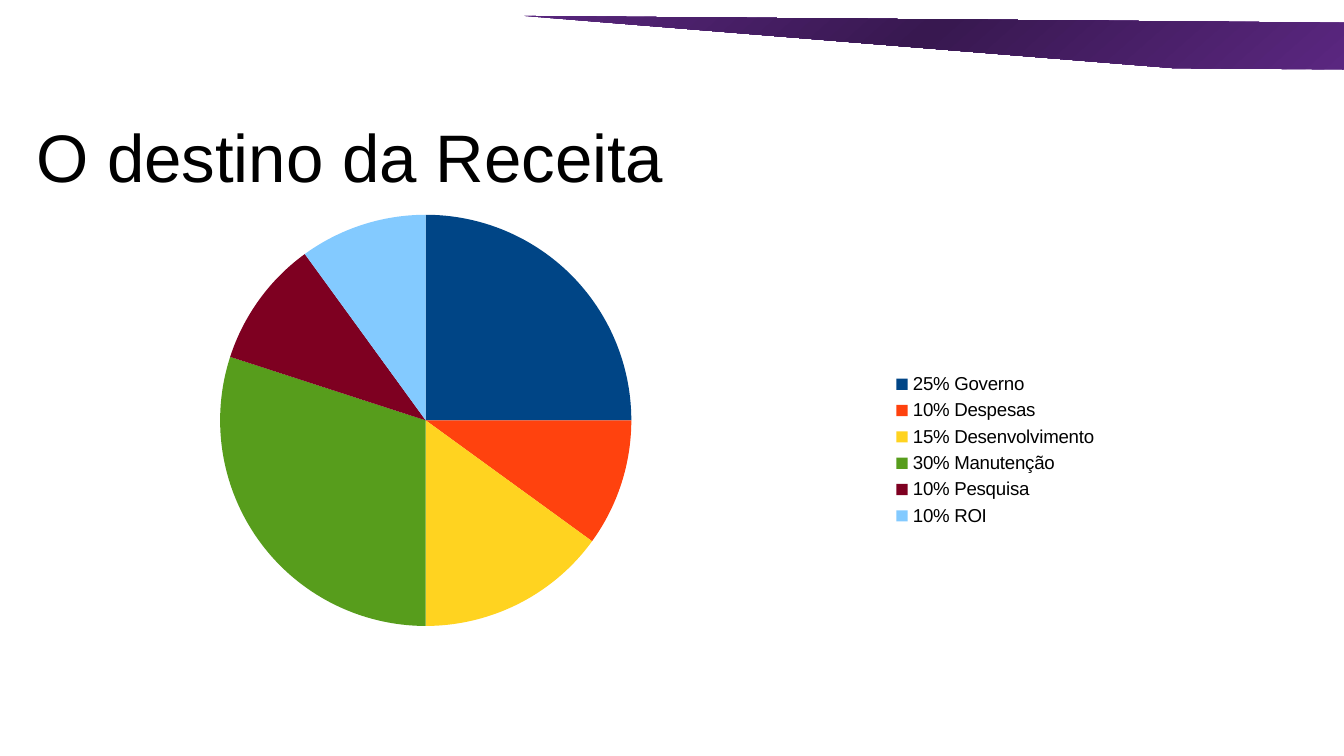
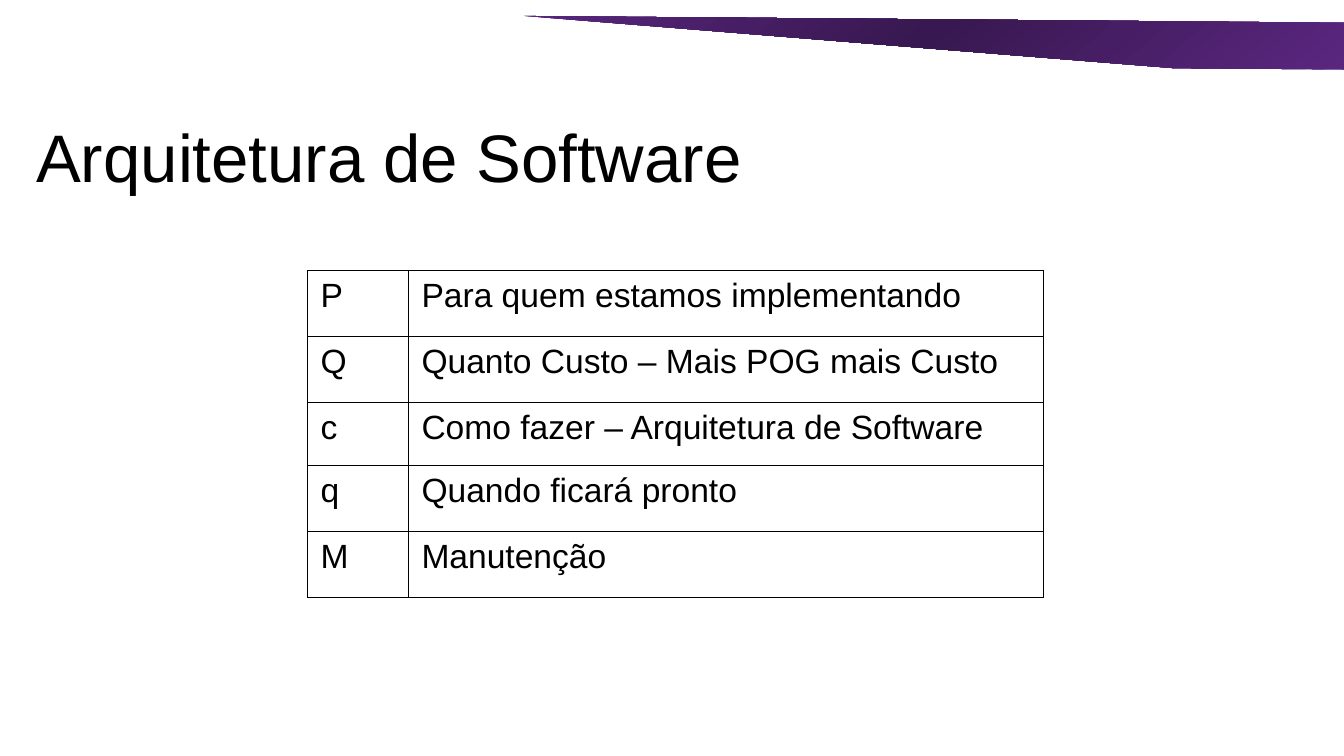
from copy import deepcopy

from pptx import Presentation
from pptx.chart.data import CategoryChartData
from pptx.dml.color import RGBColor
from pptx.enum.chart import XL_CHART_TYPE, XL_LEGEND_POSITION
from pptx.enum.shapes import MSO_SHAPE
from pptx.enum.text import MSO_ANCHOR, MSO_AUTO_SIZE, PP_ALIGN
from pptx.oxml import parse_xml
from pptx.oxml.ns import nsdecls, qn
from pptx.util import Pt

PIE = XL_CHART_TYPE.PIE
LEGEND_RIGHT = XL_LEGEND_POSITION.RIGHT
STRIPE = MSO_SHAPE.DIAGONAL_STRIPE
MIDDLE, TOP = MSO_ANCHOR.MIDDLE, MSO_ANCHOR.TOP
GROW = MSO_AUTO_SIZE.SHAPE_TO_FIT_TEXT
LEFT = PP_ALIGN.LEFT

FONT = "Arial"
BLACK = RGBColor(0x00, 0x00, 0x00)
WHITE = RGBColor(0xFF, 0xFF, 0xFF)
PURPLE = RGBColor(0x5D, 0x28, 0x84)
DARK_PURPLE = RGBColor(0x38, 0x18, 0x50)
BLUE = RGBColor(0x00, 0x45, 0x86)
ORANGE = RGBColor(0xFF, 0x42, 0x0E)
YELLOW = RGBColor(0xFF, 0xD3, 0x20)
GREEN = RGBColor(0x57, 0x9D, 0x1C)
WINE = RGBColor(0x7E, 0x00, 0x21)
SKY = RGBColor(0x83, 0xCA, 0xFF)

BAND_BOX = (281.5, -5.8, 449.3, 32.4)
TITLE_BOX = (19.4, 56.2, 680.4, 54.7)
CHART_BOX = (79.2, 62.6, 516.2, 357.1)
TABLE_BOX = (164.6, 144.8, 394.4, 175.4)
PLOT = {"x": 0.075, "y": 0.147, "w": 0.427, "h": 0.617}
BORDER_WIDTH = Pt(0.57)

REVENUE = [
    ("Governo", 25, BLUE),
    ("Despesas", 10, ORANGE),
    ("Desenvolvimento", 15, YELLOW),
    ("Manutenção", 30, GREEN),
    ("Pesquisa", 10, WINE),
    ("ROI", 10, SKY),
]
ARCHITECTURE = [
    ("P", "Para quem estamos implementando"),
    ("Q", "Quanto Custo – Mais POG mais Custo"),
    ("c", "Como fazer – Arquitetura de Software"),
    ("q", "Quando ficará pronto"),
    ("M", "Manutenção"),
]


def points(box):
    return [Pt(v) for v in box]


def format_font(font, size, color=BLACK):
    font.name = FONT
    font.size = Pt(size)
    font.color.rgb = color


def write(tf, text, size=18, color=BLACK, align=LEFT, anchor=TOP, margins=(7.2, 3.6)):
    tf.word_wrap = True
    tf.vertical_anchor = anchor
    tf.margin_left = tf.margin_right = Pt(margins[0])
    tf.margin_top = tf.margin_bottom = Pt(margins[1])
    p = tf.paragraphs[0]
    p.alignment = align
    r = p.add_run()
    r.text = text
    format_font(r.font, size, color)


def add_band(s, box):
    sp = s.shapes.add_shape(STRIPE, *points(box))
    sp.rotation = 184.6
    sp.adjustments[0] = 0.224
    sp.shadow.inherit = False
    sp.line.fill.background()
    sp.fill.gradient()
    sp.fill.gradient_angle = 316
    stops = sp._element.spPr.find(".//" + qn("a:gsLst"))
    stops.insert(1, deepcopy(stops[0]))
    colors = (PURPLE, DARK_PURPLE, PURPLE)
    for stop, position, color in zip(sp.fill.gradient_stops, (0, 0.5, 1), colors):
        stop.position = position
        stop.color.rgb = color


def add_title(s, box, text):
    sp = s.shapes.title
    sp.left, sp.top, sp.width, sp.height = points(box)
    tf = sp.text_frame
    write(tf, text, size=36, anchor=MIDDLE, margins=(0, 0))
    tf.auto_size = GROW


def add_base_slide(prs, title):
    s = prs.slides.add_slide(prs.slide_layouts[5])
    s.background.fill.solid()
    s.background.fill.fore_color.rgb = WHITE
    add_band(s, BAND_BOX)
    add_title(s, TITLE_BOX, title)
    return s


def place_plot(chart):
    area = chart._chartSpace.chart.plotArea
    for old in area.findall(qn("c:layout")):
        area.remove(old)
    modes = "".join(f'<c:{k}Mode val="edge"/>' for k in "xy")
    values = "".join(f'<c:{k} val="{v}"/>' for k, v in PLOT.items())
    area.insert(0, parse_xml(
        f'<c:layout {nsdecls("c")}><c:manualLayout><c:layoutTarget val="outer"/>'
        f'{modes}{values}</c:manualLayout></c:layout>'))


def add_pie(s, box, rows):
    data = CategoryChartData()
    data.categories = [f"{value}% {name}" for name, value, _ in rows]
    data.add_series("Series 1", [value for _, value, _ in rows])
    chart = s.shapes.add_chart(PIE, *points(box), data).chart
    chart.has_title = False
    format_font(chart.font, 10)
    chart.has_legend = True
    chart.legend.position = LEGEND_RIGHT
    chart.legend.include_in_layout = False
    format_font(chart.legend.font, 10)
    plot = chart.plots[0]
    plot.vary_by_categories = True
    for i, (_, _, color) in enumerate(rows):
        fill = plot.series[0].points[i].format.fill
        fill.solid()
        fill.fore_color.rgb = color
    place_plot(chart)


def border_cell(cell):
    tc_pr = cell._tc.get_or_add_tcPr()
    for side in "LRTB":
        tc_pr.append(parse_xml(
            f'<a:ln{side} {nsdecls("a")} w="{BORDER_WIDTH}"><a:solidFill>'
            f'<a:srgbClr val="{BLACK}"/></a:solidFill></a:ln{side}>'))


def add_grid(s, box, rows):
    table = s.shapes.add_table(len(rows), 2, *points(box)).table
    table.first_row = table.horz_banding = False
    key_width = 54
    table.columns[0].width = Pt(key_width)
    table.columns[1].width = Pt(box[2] - key_width)
    for i, row in enumerate(rows):
        table.rows[i].height = Pt(33.8 if i == 2 else 35.4)
        for j, text in enumerate(row):
            cell = table.cell(i, j)
            write(cell.text_frame, text)
            cell.margin_left = cell.margin_right = Pt(7.2)
            cell.margin_top = cell.margin_bottom = Pt(3.6)
            border_cell(cell)
            cell.fill.background()


def main():
    prs = Presentation()
    prs.slide_width, prs.slide_height = Pt(720), Pt(405)
    add_pie(add_base_slide(prs, "O destino da Receita"), CHART_BOX, REVENUE)
    add_grid(add_base_slide(prs, "Arquitetura de Software"), TABLE_BOX, ARCHITECTURE)
    prs.save("out.pptx")


if __name__ == "__main__":
    main()
